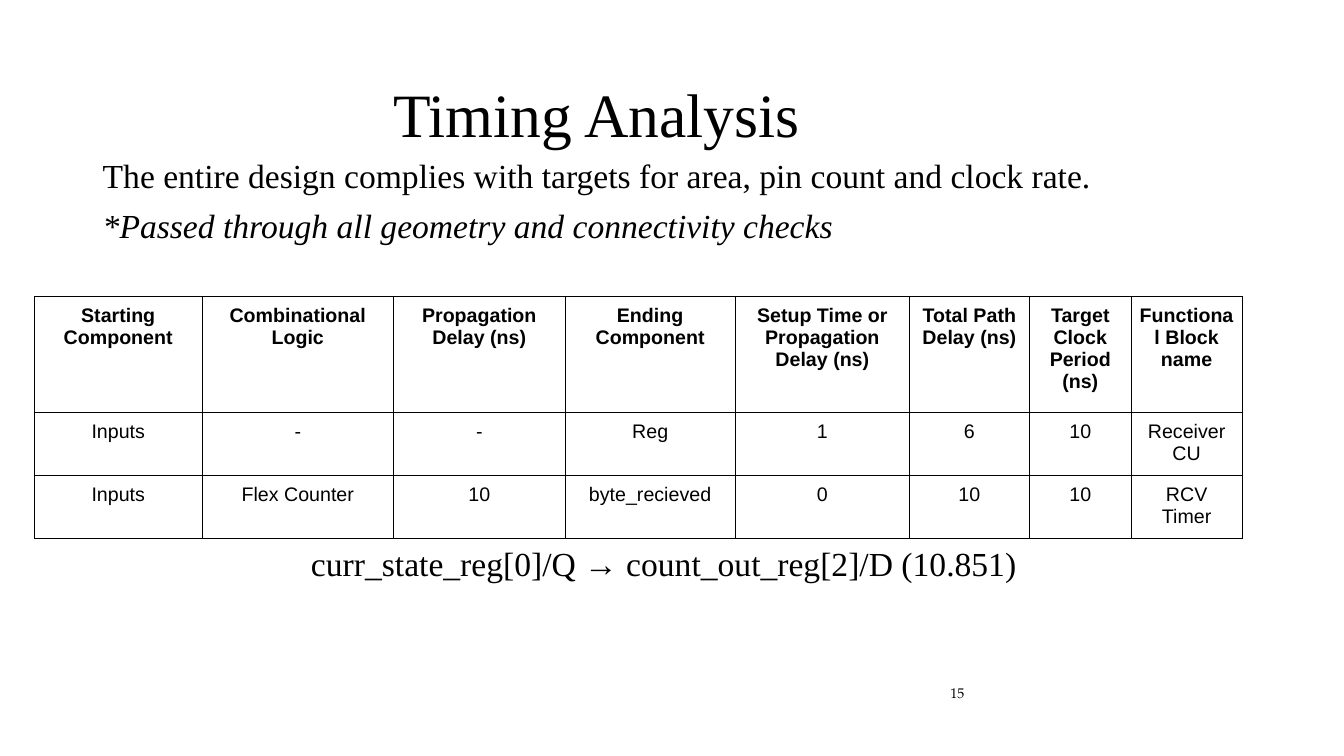
from lxml import etree
from pptx import Presentation
from pptx.dml.color import RGBColor
from pptx.enum.text import MSO_ANCHOR as Anchor, PP_ALIGN as Align
from pptx.oxml.ns import qn
from pptx.util import Cm, Pt

COLORS = {"ink": "000000", "paper": "FFFFFF"}
SERIF = "Times New Roman"


def write(frame, text, size, font, align=Align.LEFT, anchor=Anchor.MIDDLE,
          spacing=None, before=0, bold=False):
    """Fill a text frame and give all its paragraphs one format."""
    frame.text = text
    frame.word_wrap = True
    frame.vertical_anchor = anchor
    for paragraph in frame.paragraphs:
        paragraph.alignment = align
        paragraph.line_spacing = spacing
        paragraph.space_before = Pt(before)
        for run in paragraph.runs:
            run.font.size = Pt(size)
            run.font.name = font
            run.font.bold = bold
            run.font.color.rgb = RGBColor.from_string(COLORS["ink"])


def draw_borders(cell):
    properties = cell._tc.get_or_add_tcPr()
    for index, side in enumerate(("lnL", "lnR", "lnT", "lnB")):
        line = etree.Element(qn(f"a:{side}"), w=str(Pt(0.75)))
        fill = etree.SubElement(line, qn("a:solidFill"))
        etree.SubElement(fill, qn("a:srgbClr"), val=COLORS["ink"])
        properties.insert(index, line)


prs = Presentation()
prs.slide_width, prs.slide_height = Cm(33.87), Cm(19.05)
slide = prs.slides.add_slide(prs.slide_layouts[5])

title = slide.shapes.title
title.left, title.top, title.width, title.height = Cm(2.97), Cm(1.47), Cm(24.13), Cm(2.97)
write(title.text_frame, "Timing Analysis", 44, SERIF, Align.CENTER, spacing=0.9)

summary = slide.shapes.add_textbox(Cm(2.34), Cm(3.89), Cm(29.21), Cm(3.94)).text_frame
write(summary,
      "The entire design complies with targets for area, pin count and clock rate.\n"
      "*Passed through all geometry and connectivity checks",
      24, SERIF, anchor=Anchor.TOP, spacing=0.9, before=10)
summary.paragraphs[1].runs[0].font.italic = True

page_number = slide.shapes.add_textbox(Cm(23.7), Cm(17.09), Cm(3.38), Cm(0.76)).text_frame
write(page_number, "15", 10, "TeX Gyre Pagella")

timing_rows = [
    ["Starting Component", "Combinational Logic", "Propagation Delay (ns)",
     "Ending Component", "Setup Time or Propagation Delay (ns)",
     "Total Path Delay (ns)", "Target Clock Period (ns)", "Functional Block name"],
    ["Inputs", "-", "-", "Reg", "1", "6", "10", "Receiver CU"],
    ["Inputs", "Flex Counter", "10", "byte_recieved", "0", "10", "10", "RCV Timer"],
]
column_widths = [4.22, 4.83, 4.32, 4.29, 4.39, 3.02, 2.57, 2.79]
row_heights = [2.92, 1.4, 1.4]

timing = slide.shapes.add_table(
    len(timing_rows), len(column_widths), Cm(0.87), Cm(7.48),
    Cm(sum(column_widths)), Cm(sum(row_heights))).table
timing.first_row = timing.horz_banding = False
for column, width in zip(timing.columns, column_widths):
    column.width = Cm(width)
for r, (values, height) in enumerate(zip(timing_rows, row_heights)):
    timing.rows[r].height = Cm(height)
    for c, value in enumerate(values):
        cell = timing.cell(r, c)
        cell.margin_left = cell.margin_right = Cm(0.2)
        cell.margin_top = cell.margin_bottom = Cm(0.2)
        cell.fill.solid()
        cell.fill.fore_color.rgb = RGBColor.from_string(COLORS["paper"])
        write(cell.text_frame, value, 14, "Arial", Align.CENTER, Anchor.TOP, bold=r == 0)
        draw_borders(cell)

critical_path = slide.shapes.add_textbox(Cm(2.97), Cm(12.88), Cm(27.51), Cm(2.77)).text_frame
critical_path.margin_top = critical_path.margin_bottom = Cm(0.25)
write(critical_path, "curr_state_reg[0]/Q → count_out_reg[2]/D (10.851)",
      24, SERIF, Align.CENTER, spacing=0.9, before=10)

prs.save("out.pptx")
